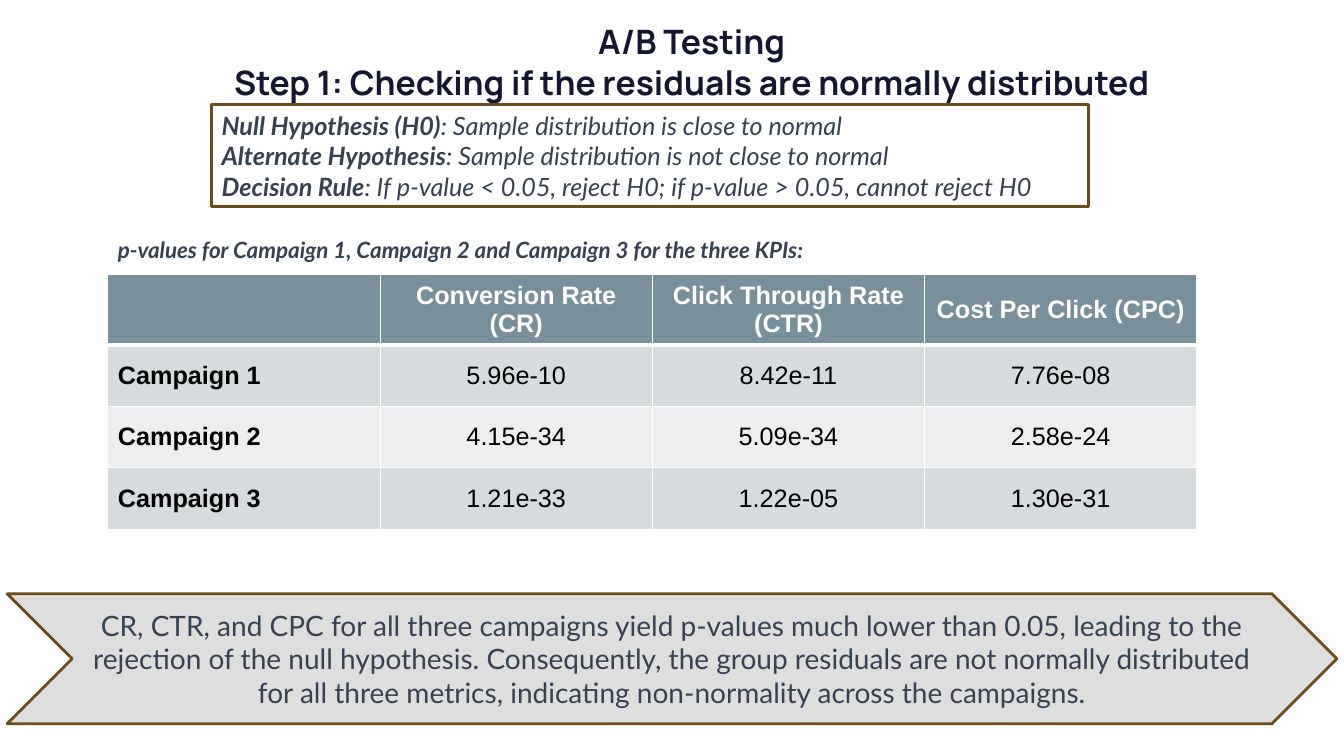
from dataclasses import dataclass
import lxml.etree
import pptx
import pptx.dml.color
import pptx.enum.shapes
import pptx.enum.text
import pptx.oxml.ns
import pptx.util

Inches = pptx.util.Inches
Pt = pptx.util.Pt
RGBColor = pptx.dml.color.RGBColor
ALIGN = pptx.enum.text.PP_ALIGN
ANCHOR = pptx.enum.text.MSO_ANCHOR
SHAPE = pptx.enum.shapes.MSO_SHAPE

NAVY = RGBColor(0x15, 0x16, 0x31)
SLATE = RGBColor(0x37, 0x41, 0x51)
BROWN = RGBColor(0x70, 0x4B, 0x1C)
SILVER = RGBColor(0xDE, 0xDE, 0xDE)
STEEL = RGBColor(0x78, 0x90, 0x9C)
BANDS = (RGBColor(0xD6, 0xDB, 0xDE), RGBColor(0xEC, 0xEE, 0xEF))
WHITE = RGBColor(0xFF, 0xFF, 0xFF)
BLACK = RGBColor(0, 0, 0)


@dataclass(frozen=True)
class Style:
    face: str
    size: int
    color: RGBColor
    bold: bool | None = False
    slant: bool = False
    align: ALIGN = ALIGN.LEFT


@dataclass(frozen=True)
class Box:
    left: float
    top: float
    width: float
    height: float

    def place(self) -> list[int]:
        return [Inches(n) for n in (self.left, self.top, self.width, self.height)]


@dataclass(frozen=True)
class Rule:
    label: str
    text: str


TITLE = Style("Manrope", 24, NAVY, bold=True, align=ALIGN.CENTER)
RULE = Style("Lato", 18, SLATE, bold=None, slant=True)
NOTE = Style("Lato", 16, SLATE, bold=True, slant=True)
RESULT = Style("Lato", 20, SLATE, align=ALIGN.CENTER)
HEAD = Style("Arial", 18, WHITE, bold=True, align=ALIGN.CENTER)
NAME = Style("Arial", 18, BLACK, bold=True)
VALUE = Style("Arial", 18, BLACK, align=ALIGN.CENTER)

RULES = (
    Rule("Null Hypothesis (H0)", ": Sample distribution is close to normal"),
    Rule("Alternate Hypothesis", ": Sample distribution is not close to normal"),
    Rule("Decision Rule", ": If p-value < 0.05, reject H0; if p-value > 0.05, cannot reject H0"),
)
ROWS = (
    ("", "Conversion Rate (CR)", "Click Through Rate (CTR)", "Cost Per Click (CPC)"),
    ("Campaign 1", "5.96e-10", "8.42e-11", "7.76e-08"),
    ("Campaign 2", "4.15e-34", "5.09e-34", "2.58e-24"),
    ("Campaign 3", "1.21e-33", "1.22e-05", "1.30e-31"),
)


def dress(para, style: Style) -> None:
    para.alignment = style.align
    font = para.font
    font.name = style.face
    font.size = Pt(style.size)
    font.color.rgb = style.color
    font.bold = style.bold
    font.italic = style.slant


def write(frame, text: str, style: Style) -> None:
    frame.text = text
    for para in frame.paragraphs:
        dress(para, style)


def add_text(slide, box: Box, text: str, style: Style, anchor: ANCHOR, inset: float):
    frame = slide.shapes.add_textbox(*box.place()).text_frame
    frame.word_wrap = True
    frame.vertical_anchor = anchor
    frame.margin_left = frame.margin_right = Inches(inset)
    frame.margin_top = frame.margin_bottom = Inches(min(inset, 0.13) if inset > 0.1 else 0.05)
    write(frame, text, style)


def add_panel(slide, kind: SHAPE, box: Box, fill: RGBColor | None):
    panel = slide.shapes.add_shape(kind, *box.place())
    panel.shadow.inherit = False
    if fill is None:
        panel.fill.background()
    else:
        panel.fill.solid()
        panel.fill.fore_color.rgb = fill
    panel.line.color.rgb = BROWN
    panel.line.width = Pt(2)
    panel.text_frame.word_wrap = True
    panel.text_frame.vertical_anchor = ANCHOR.MIDDLE
    return panel.text_frame


def add_rules(frame) -> None:
    for place, rule in enumerate(RULES):
        para = frame.add_paragraph() if place else frame.paragraphs[0]
        dress(para, RULE)
        for text, bold in ((rule.label, True), (rule.text, False)):
            run = para.add_run()
            run.text = text
            run.font.bold = bold


def edge(cell, side: str, width: int) -> None:
    qn = pptx.oxml.ns.qn
    line = lxml.etree.Element(qn(f"a:{side}"), w=str(Pt(width)))
    fill = lxml.etree.SubElement(line, qn("a:solidFill"))
    lxml.etree.SubElement(fill, qn("a:srgbClr"), val=str(WHITE))
    props = cell._tc.get_or_add_tcPr()
    props.insert(len(props.findall("*")) - 1, line)


def add_grid(slide, box: Box) -> None:
    grid = slide.shapes.add_table(len(ROWS), len(ROWS[0]), *box.place()).table
    grid.horz_banding = False
    for col in grid.columns:
        col.width = Inches(box.width / len(ROWS[0]))
    for row, texts in enumerate(ROWS):
        grid.rows[row].height = Inches(box.height / len(ROWS))
        for col, text in enumerate(texts):
            cell = grid.cell(row, col)
            cell.vertical_anchor = ANCHOR.MIDDLE
            cell.fill.solid()
            cell.fill.fore_color.rgb = BANDS[(row - 1) % 2] if row else STEEL
            write(cell.text_frame, text, (VALUE if col else NAME) if row else HEAD)
            for side in ("lnL", "lnR", "lnT", "lnB"):
                heavy = (row, side) in ((0, "lnB"), (1, "lnT"))
                edge(cell, side, 3 if heavy else 1)


def main() -> None:
    deck = pptx.Presentation()
    deck.slide_width = Inches(13.33)
    deck.slide_height = Inches(7.5)
    slide = deck.slides.add_slide(deck.slide_layouts[6])

    add_text(
        slide, Box(0, 0.08, 13.72, 0.75),
        "A/B Testing\nStep 1: Checking if the residuals are normally distributed",
        TITLE, ANCHOR.TOP, 0.13,
    )
    add_rules(add_panel(slide, SHAPE.RECTANGLE, Box(2.1, 1.04, 8.7, 1.01), None))
    add_grid(slide, Box(1.07, 2.72, 10.8, 2.44))
    result = add_panel(slide, SHAPE.CHEVRON, Box(0.07, 5.89, 13.19, 1.29), SILVER)
    write(
        result,
        "CR, CTR, and CPC for all three campaigns yield p-values much lower than 0.05, "
        "leading to the rejection of the null hypothesis. Consequently, the group residuals "
        "are not normally distributed for all three metrics, indicating non-normality "
        "across the campaigns.",
        RESULT,
    )
    add_text(
        slide, Box(1.07, 2.27, 8.7, 0.41),
        "p-values for Campaign 1, Campaign 2 and Campaign 3 for the three KPIs:",
        NOTE, ANCHOR.MIDDLE, 0.1,
    )
    deck.save("out.pptx")


if __name__ == "__main__":
    main()
